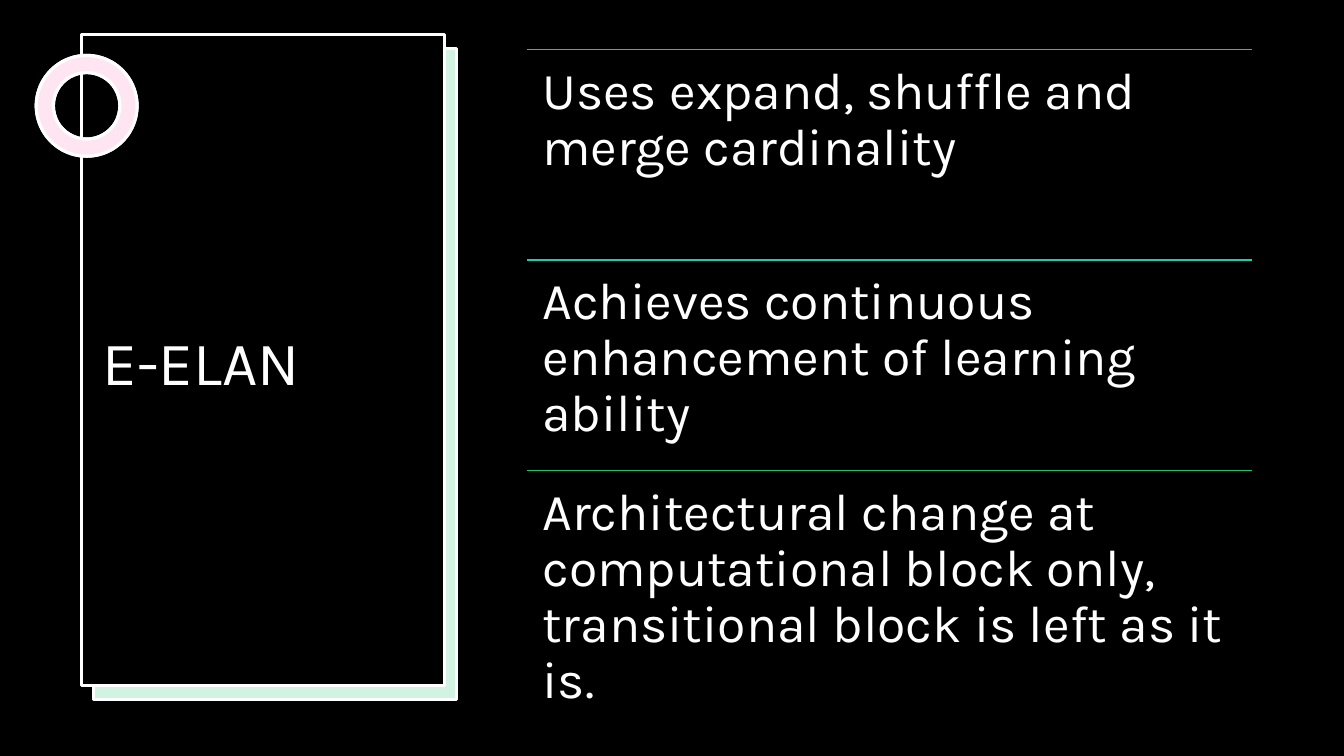
from dataclasses import dataclass

from lxml import etree
from pptx import Presentation
from pptx.dml.color import RGBColor
from pptx.enum.shapes import MSO_CONNECTOR, MSO_SHAPE
from pptx.enum.text import MSO_ANCHOR, PP_ALIGN
from pptx.oxml.ns import qn
from pptx.util import Inches, Pt

RECTANGLE, DONUT = MSO_SHAPE.RECTANGLE, MSO_SHAPE.DONUT
STRAIGHT = MSO_CONNECTOR.STRAIGHT
TOP, MIDDLE = MSO_ANCHOR.TOP, MSO_ANCHOR.MIDDLE
LEFT = PP_ALIGN.LEFT
TITLE_ONLY = 5
BLACK, WHITE, GREEN, PINK = "000000", "FFFFFF", "21C46B", "FF80BD"
FONT = "Karla"

PANEL_W, PANEL_H = 3.6, 6.46
RING = (0.36, 0.55, 1, 1)
RING_THICKNESS = 0.17
POINTS_X, POINTS_Y, POINTS_W, POINT_H = 5.23, 0.49, 7.19, 2.09


@dataclass
class Decoration:
    preset: MSO_SHAPE
    box: tuple[float, float, float, float]
    fill: str
    opacity: int = 100
    outlined: bool = True


@dataclass
class Point:
    text: str
    rule_color: str


DECORATIONS = [
    Decoration(RECTANGLE, (0.92, 0.49, PANEL_W, PANEL_H), WHITE, outlined=False),
    Decoration(RECTANGLE, (0.93, 0.48, PANEL_W, PANEL_H), GREEN, opacity=20),
    Decoration(RECTANGLE, (0.81, 0.34, PANEL_W, PANEL_H), BLACK),
    Decoration(DONUT, RING, WHITE),
    Decoration(DONUT, RING, PINK, opacity=20),
]

POINTS = [
    Point("Uses expand, shuffle and merge cardinality", "1EB9D3"),
    Point("Achieves continuous enhancement of learning ability", "20CBA9"),
    Point("Architectural change at computational block only, "
          "transitional block is left as it is.", GREEN),
]


def paint(color_format, color: str) -> None:
    color_format.rgb = RGBColor.from_string(color)


def write(frame, text: str, *, size: float, anchor: MSO_ANCHOR,
          margins: tuple[float, float] = (0.1, 0.05)) -> None:
    """Fill a text frame; margins are the side and the top/bottom insets."""
    side, end = margins
    frame.word_wrap = True
    frame.vertical_anchor = anchor
    frame.margin_left = frame.margin_right = Inches(side)
    frame.margin_top = frame.margin_bottom = Inches(end)
    frame.text = text
    paragraph = frame.paragraphs[0]
    paragraph.alignment = LEFT
    paragraph.line_spacing = 0.9
    paragraph.font.name = FONT
    paragraph.font.size = Pt(size)
    paint(paragraph.font.color, WHITE)


def draw_decoration(slide, decoration: Decoration) -> None:
    shape = slide.shapes.add_shape(
        decoration.preset, *(Inches(length) for length in decoration.box))
    shape.shadow.inherit = False
    if decoration.preset == DONUT:
        shape.adjustments[0] = RING_THICKNESS
    shape.fill.solid()
    paint(shape.fill.fore_color, decoration.fill)
    if decoration.opacity < 100:
        color = shape.fill._xPr.find(qn("a:solidFill"))[0]
        etree.SubElement(color, qn("a:alpha"), val=str(decoration.opacity * 1000))
    if decoration.outlined:
        paint(shape.line.color, WHITE)
        shape.line.width = Pt(2.25)
    else:
        shape.line.fill.background()


def draw_point(slide, point: Point, top: float) -> None:
    left, y, width = Inches(POINTS_X), Inches(top), Inches(POINTS_W)
    rule = slide.shapes.add_connector(STRAIGHT, left, y, left + width, y)
    paint(rule.line.color, point.rule_color)
    rule.line.width = Pt(1)
    etree.SubElement(rule._element.spPr, qn("a:effectLst"))
    box = slide.shapes.add_textbox(left, y, width, Inches(POINT_H))
    write(box.text_frame, point.text, size=37, anchor=TOP, margins=(0.15, 0.15))


def place_title(slide, text: str) -> None:
    """Format the title and bring it in front of the panel."""
    title = slide.shapes.title
    title.left, title.top = Inches(0.92), Inches(1.31)
    title.width, title.height = Inches(3.4), Inches(4.63)
    write(title.text_frame, text, size=44, anchor=MIDDLE)
    slide.shapes._spTree.append(title._element)


def main() -> None:
    deck = Presentation()
    deck.slide_width, deck.slide_height = Inches(13.33), Inches(7.5)
    slide = deck.slides.add_slide(deck.slide_layouts[TITLE_ONLY])
    slide.background.fill.solid()
    paint(slide.background.fill.fore_color, BLACK)
    for decoration in DECORATIONS:
        draw_decoration(slide, decoration)
    place_title(slide, "E-ELAN")
    for row, point in enumerate(POINTS):
        draw_point(slide, point, POINTS_Y + row * POINT_H)
    deck.save("out.pptx")


if __name__ == "__main__":
    main()
